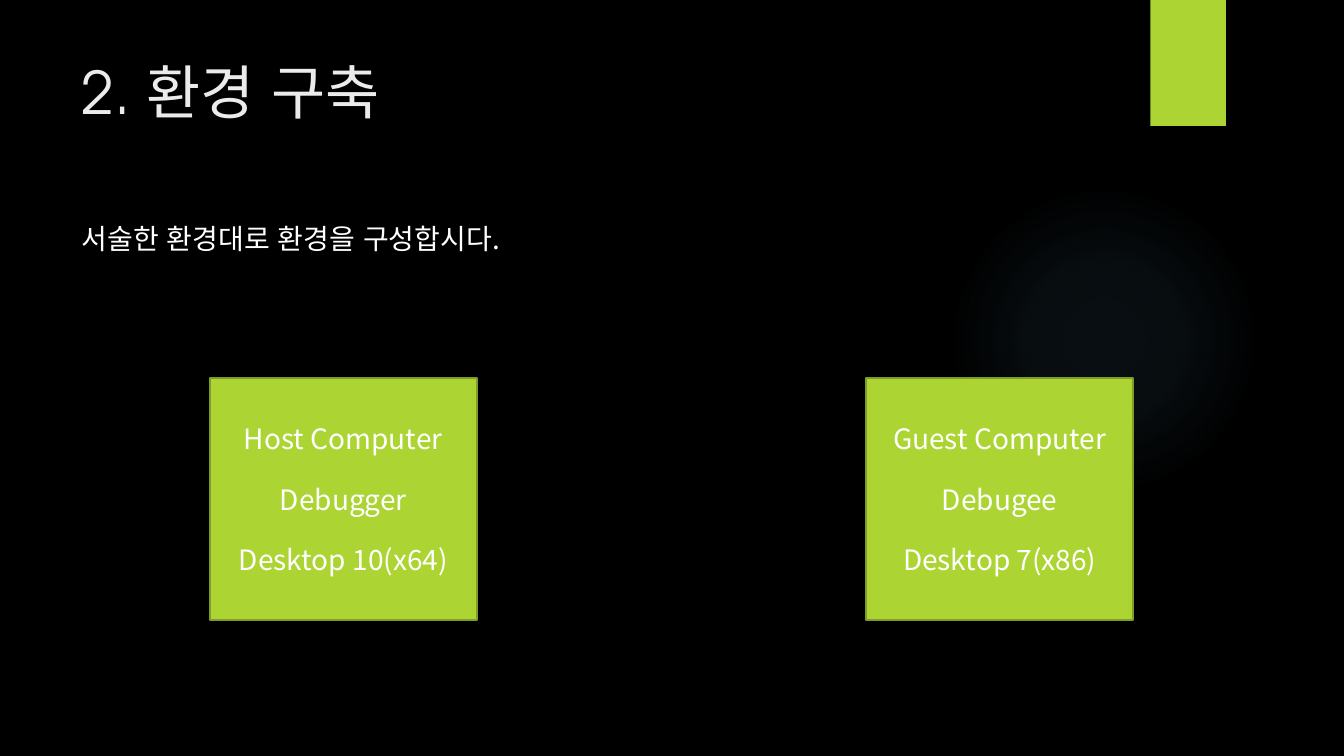
import pptx
import pptx.util
import pptx.dml.color
import pptx.enum.shapes
import pptx.enum.text
import pptx.oxml

TITLE = "2. 환경 구축"
INTRO = "서술한 환경대로 환경을 구성합시다."
COMPUTERS = [
    ["Host Computer", "Debugger", "Desktop 10(x64)"],
    ["Guest Computer", "Debugee", "Desktop 7(x86)"],
]
COLOURS = {"back": "000000", "lime": "ACD433", "edge": "7F9D26",
           "title": "EBEBEB", "text": "FFFFFF", "glow": "7AC4F0"}
GLOW_STOPS = [(0, 7), (36, 6), (69, 0)]  # position and opacity, percent
TITLE_FONT, BODY_FONT = "TeX Gyre Adventor", "Noto Sans CJK KR"
WIDTH, HEIGHT = 13.33, 7.5
MARGIN = 0.71
CARD_LEFT, CARD_STEP = 2.08, 6.51
CARD_WIDTH, CARD_HEIGHT = 2.65, 2.4
DRAWING = "http://schemas.openxmlformats.org/drawingml/2006/main"

Align = pptx.enum.text.PP_ALIGN
Anchor = pptx.enum.text.MSO_ANCHOR
Shape = pptx.enum.shapes.MSO_SHAPE


def colour(name):
    return pptx.dml.color.RGBColor.from_string(COLOURS[name])


def place(*lengths):
    return [pptx.util.Inches(length) for length in lengths]


def add_block(page, kind, *area):
    """Add a plain lime shape without line or shadow."""
    block = page.shapes.add_shape(kind, *place(*area))
    block.shadow.inherit = False
    block.fill.solid()
    block.fill.fore_color.rgb = colour("lime")
    block.line.fill.background()
    return block


def write(frame, lines, size, font, tint, align=Align.LEFT, gap=0):
    frame.word_wrap = True
    for index, line in enumerate(lines):
        para = frame.add_paragraph() if index else frame.paragraphs[0]
        span = para.add_run()
        span.text = line
        para.alignment = align
        para.space_before = pptx.util.Pt(gap if index else 0)
        para.font.size = pptx.util.Pt(size)
        para.font.name = font
        para.font.color.rgb = colour(tint)
        # Hangul takes its typeface from the East Asian font slot
        span.font.language_id = pptx.enum.lang.MSO_LANGUAGE_ID.KOREAN
        span.font._element.append(pptx.oxml.parse_xml(
            f'<a:ea xmlns:a="{DRAWING}" typeface="{BODY_FONT}"/>'))


def add_glow(page):
    glow = add_block(page, Shape.OVAL, 9.41, 1.83, 3.08, 3.08)
    stops = "".join(
        f'<a:gs pos="{position * 1000}"><a:srgbClr val="{COLOURS["glow"]}">'
        f'<a:alpha val="{opacity * 1000}"/></a:srgbClr></a:gs>'
        for position, opacity in GLOW_STOPS)
    gradient = pptx.oxml.parse_xml(
        f'<a:gradFill xmlns:a="{DRAWING}"><a:gsLst>{stops}</a:gsLst>'
        '<a:path path="circle"><a:fillToRect l="50000" t="50000" '
        'r="50000" b="50000"/></a:path></a:gradFill>')
    properties = glow._element.spPr
    solid = properties.find(f"{{{DRAWING}}}solidFill")
    properties.replace(solid, gradient)


def add_card(page, column, lines):
    card = add_block(page, Shape.RECTANGLE, CARD_LEFT + column * CARD_STEP,
                     HEIGHT / 2, CARD_WIDTH, CARD_HEIGHT)
    card.line.color.rgb = colour("edge")
    card.line.width = pptx.util.Pt(1.5)
    card.text_frame.vertical_anchor = Anchor.MIDDLE
    write(card.text_frame, lines, 20, BODY_FONT, "text", Align.CENTER, gap=19)


def main():
    deck = pptx.Presentation()
    deck.slide_width, deck.slide_height = place(WIDTH, HEIGHT)
    page = deck.slides.add_slide(deck.slide_layouts[6])
    page.background.fill.solid()
    page.background.fill.fore_color.rgb = colour("back")

    add_glow(page)
    add_block(page, Shape.RECTANGLE, 11.41, 0, 0.75, 1.25)
    for column, lines in enumerate(COMPUTERS):
        add_card(page, column, lines)

    title = page.shapes.add_textbox(*place(MARGIN, 0.5, 10.29, 1.53))
    write(title.text_frame, [TITLE], 42, TITLE_FONT, "title")
    intro = page.shapes.add_textbox(*place(MARGIN, 2.15, 8.89, 1.16))
    write(intro.text_frame, [INTRO], 20, BODY_FONT, "text")
    deck.save("out.pptx")


if __name__ == "__main__":
    import pptx.enum.lang
    main()
